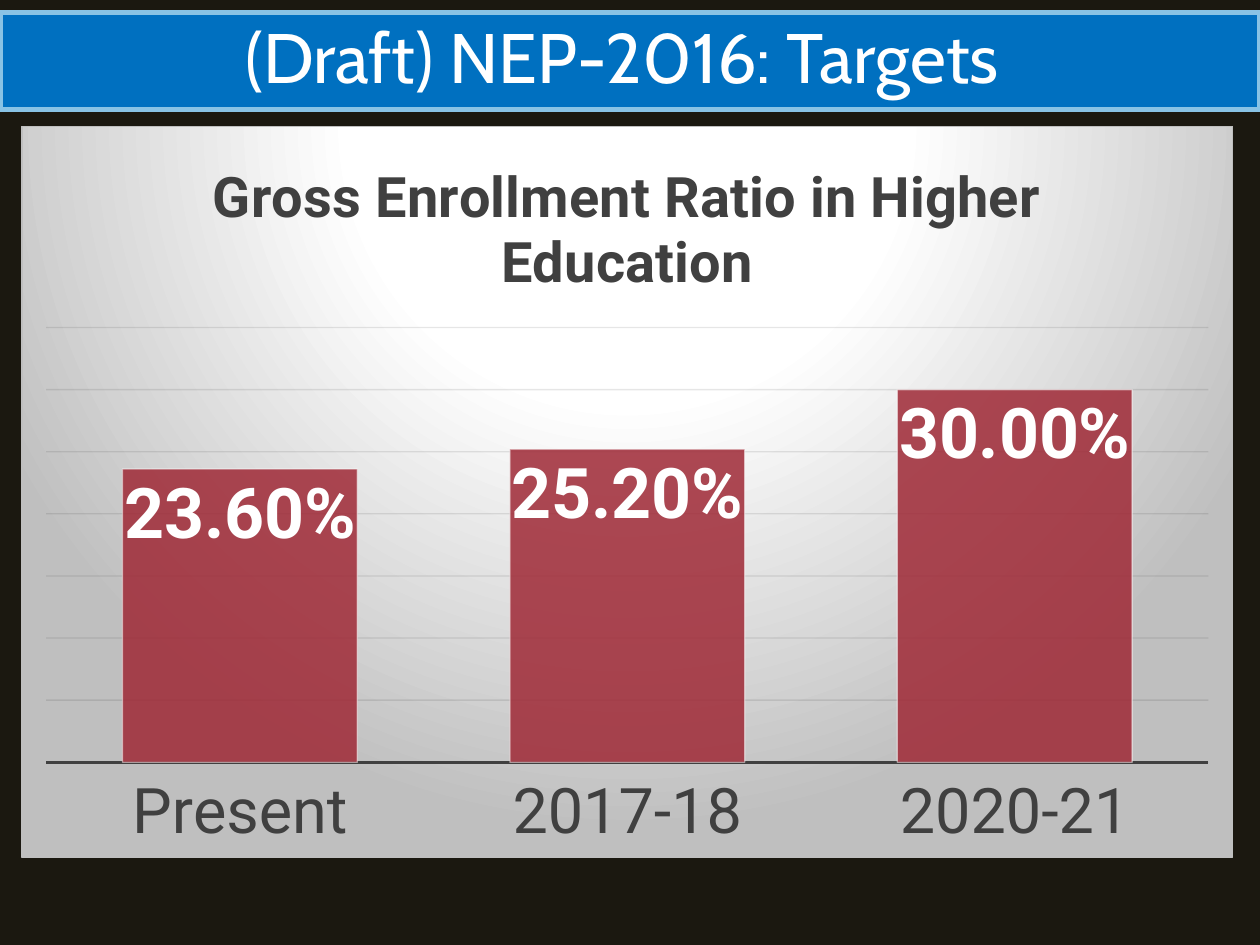
from lxml import etree
from pptx import Presentation
from pptx.chart.data import CategoryChartData
from pptx.dml.color import RGBColor
from pptx.enum.chart import XL_CHART_TYPE, XL_LABEL_POSITION, XL_TICK_LABEL_POSITION, XL_TICK_MARK
from pptx.enum.shapes import MSO_SHAPE
from pptx.enum.text import MSO_ANCHOR, PP_ALIGN
from pptx.oxml import parse_xml
from pptx.oxml.ns import nsdecls, qn
from pptx.util import Pt

COLUMNS = XL_CHART_TYPE.COLUMN_CLUSTERED
INSIDE_END = XL_LABEL_POSITION.INSIDE_END
LABELS_LOW = XL_TICK_LABEL_POSITION.LOW
NO_TICK = XL_TICK_MARK.NONE
RECTANGLE = MSO_SHAPE.RECTANGLE
MIDDLE = MSO_ANCHOR.MIDDLE
CENTER = PP_ALIGN.CENTER

WHITE, DARK_GREY, SILVER = "FFFFFF", "404040", "BFBFBF"
PERCENT = "0.00%"
ENROLLMENT = {"Present": 0.236, "2017-18": 0.252, "2020-21": 0.3}


def color(value):
    return RGBColor.from_string(value)


def style_font(font, name, size, value, bold=False):
    font.name, font.size, font.bold = name, Pt(size), bold
    font.color.rgb = color(value)


def style_line(line, value, width):
    line.color.rgb = color(value)
    line.width = Pt(width)


def set_opacity(chart, query, percent):
    """Make the colours found by an XPath query partly transparent."""
    for element in chart._chartSpace.xpath(query):
        etree.SubElement(element, qn("a:alpha"), val=str(percent * 1000))


def add_heading(slide, text):
    box = slide.shapes.add_shape(RECTANGLE, 0, Pt(7.2), Pt(720), Pt(55.4))
    box.shadow.inherit = False
    box.fill.solid()
    box.fill.fore_color.rgb = color("0070C0")
    style_line(box.line, "89C3E5", 3)
    frame = box.text_frame
    frame.word_wrap = True
    frame.vertical_anchor = MIDDLE
    frame.margin_right = Pt(16)
    para = frame.paragraphs[0]
    para.alignment = CENTER
    para.line_spacing = 0.9
    span = para.add_run()
    span.text = text
    style_font(span.font, "Cabin", 40, WHITE)


def fill_chart_area(chart):
    """Give the chart a radial gradient centred above it, and a thin border."""
    stops = "".join(
        f'<a:gs pos="{position * 1000}"><a:srgbClr val="{value}"/></a:gs>'
        for position, value in ((0, WHITE), (39, WHITE), (100, SILVER)))
    area = parse_xml(
        f'<c:spPr {nsdecls("c", "a")}><a:gradFill><a:gsLst>{stops}</a:gsLst>'
        '<a:path path="circle"><a:fillToRect l="50000" t="-80000" r="50000" b="180000"/></a:path>'
        f'</a:gradFill><a:ln w="{Pt(0.75)}"><a:solidFill><a:srgbClr val="{SILVER}"/></a:solidFill>'
        '</a:ln></c:spPr>')
    chart._chartSpace.find(qn("c:chart")).addnext(area)


def place_plot(chart, **fractions):
    """Set the inner plot area as fractions of the chart."""
    plot_area = chart._chartSpace.xpath("c:chart/c:plotArea")[0]
    for old in plot_area.findall(qn("c:layout")):
        plot_area.remove(old)
    settings = {"layoutTarget": "inner", "xMode": "edge", "yMode": "edge", **fractions}
    parts = "".join(f'<c:{name} val="{value}"/>' for name, value in settings.items())
    plot_area.insert(0, parse_xml(
        f'<c:layout {nsdecls("c")}><c:manualLayout>{parts}</c:manualLayout></c:layout>'))


def style_axes(chart):
    categories = chart.category_axis
    categories.major_tick_mark = categories.minor_tick_mark = NO_TICK
    categories.tick_label_position = LABELS_LOW
    categories.has_major_gridlines = False
    style_font(categories.tick_labels.font, "Roboto", 36, DARK_GREY)
    style_line(categories.format.line, DARK_GREY, 1.5)
    values = chart.value_axis
    values.minimum_scale, values.maximum_scale, values.major_unit = 0, 0.35, 0.05
    values.has_major_gridlines = True
    style_line(values.major_gridlines.format.line, "0D0D0D", 0.75)
    set_opacity(chart, ".//c:majorGridlines//a:srgbClr", 10)
    values.visible = False


def style_columns(chart):
    plot = chart.plots[0]
    plot.gap_width = 65
    plot.vary_by_categories = False
    series = plot.series[0]
    series.invert_if_negative = False
    series.format.fill.solid()
    series.format.fill.fore_color.rgb = color("9F2936")
    style_line(series.format.line, WHITE, 0.75)
    set_opacity(chart, ".//c:ser/c:spPr/a:solidFill/a:srgbClr", 85)
    set_opacity(chart, ".//c:ser/c:spPr/a:ln//a:srgbClr", 50)
    labels = series.data_labels
    labels.show_value = True
    labels.position = INSIDE_END
    labels.number_format, labels.number_format_is_linked = PERCENT, False
    style_font(labels.font, "Roboto", 40, WHITE, bold=True)


def add_enrollment_chart(slide, title):
    data = CategoryChartData(number_format=PERCENT)
    data.categories = list(ENROLLMENT)
    data.add_series("Series 1", list(ENROLLMENT.values()))
    chart = slide.shapes.add_chart(
        COLUMNS, Pt(12.2), Pt(72), Pt(692.6), Pt(418.3), data).chart
    style_font(chart.font, "Roboto", 10, WHITE)
    chart.has_legend = False
    chart.has_title = True
    chart.chart_title.include_in_layout = False
    span = chart.chart_title.text_frame.paragraphs[0].add_run()
    span.text = title
    style_font(span.font, "Roboto", 32, DARK_GREY, bold=True)
    fill_chart_area(chart)
    place_plot(chart, x=0.02, y=0.275, w=0.96, h=0.595)
    style_axes(chart)
    style_columns(chart)


def main():
    deck = Presentation()
    deck.slide_width, deck.slide_height = Pt(720), Pt(540)
    page = deck.slides.add_slide(deck.slide_layouts[6])
    page.background.fill.solid()
    page.background.fill.fore_color.rgb = color("1B1810")
    add_enrollment_chart(page, "Gross Enrollment Ratio in Higher Education")
    add_heading(page, "(Draft) NEP-2016: Targets")
    deck.save("out.pptx")


if __name__ == "__main__":
    main()
